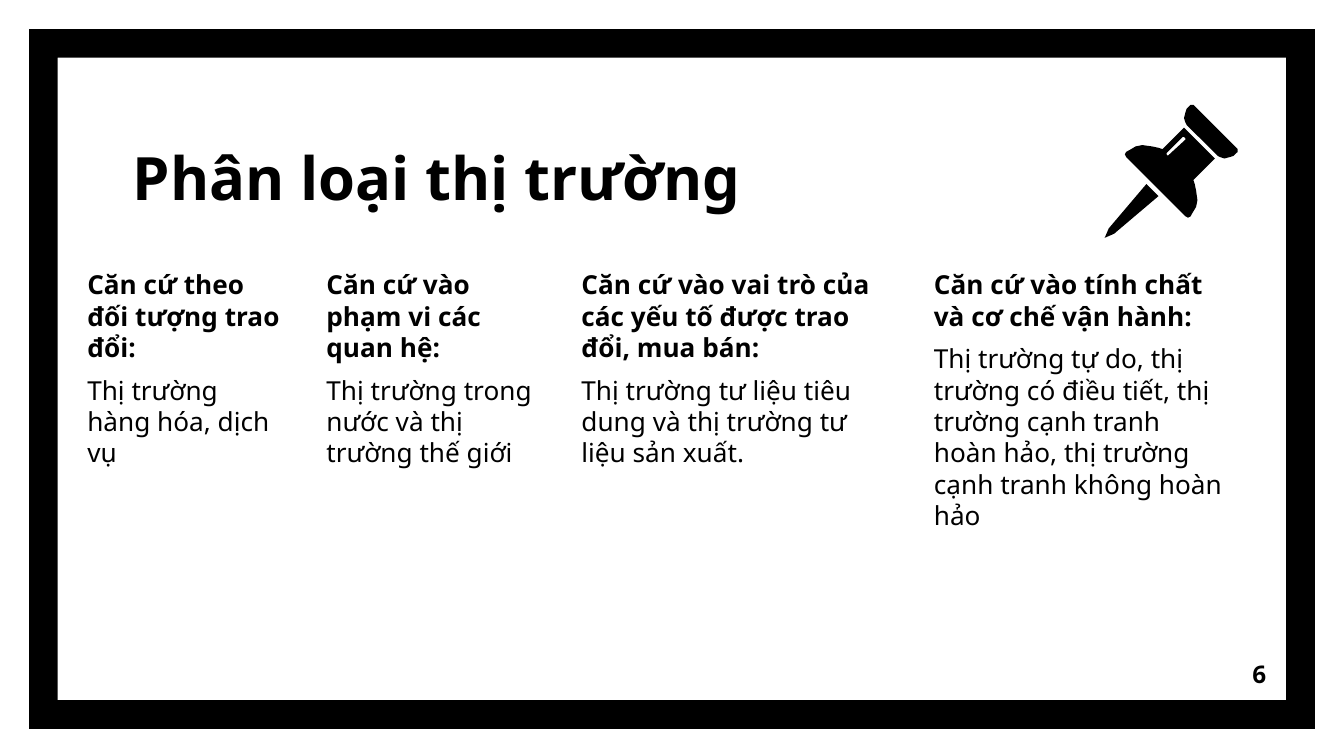
from pptx import Presentation
from pptx.dml.color import RGBColor
from pptx.enum.shapes import MSO_SHAPE
from pptx.enum.text import MSO_ANCHOR, MSO_AUTO_SIZE, PP_ALIGN
from pptx.util import Cm, Pt

BLACK = RGBColor(0x00, 0x00, 0x00)
WHITE = RGBColor(0xFF, 0xFF, 0xFF)
FRAME = MSO_SHAPE.FRAME
TOP, MIDDLE, BOTTOM = MSO_ANCHOR.TOP, MSO_ANCHOR.MIDDLE, MSO_ANCHOR.BOTTOM
LEFT, RIGHT = PP_ALIGN.LEFT, PP_ALIGN.RIGHT
NO_AUTOFIT = MSO_AUTO_SIZE.NONE
TITLE_ONLY = 5

COLUMN_TOP, COLUMN_HEIGHT = 4.83, 5.66
COLUMNS = [
    (1.4, 4.17, "Căn cứ theo đối tượng trao đổi:",
     "Thị trường hàng hóa, dịch vụ"),
    (5.92, 4.45, "Căn cứ vào phạm vi các quan hệ:",
     "Thị trường trong nước và thị trường thế giới"),
    (10.74, 5.99, "Căn cứ vào vai trò của các yếu tố được trao đổi, mua bán:",
     "Thị trường tư liệu tiêu dung và thị trường tư liệu sản xuất."),
    (17.4, 5.99, "Căn cứ vào tính chất và cơ chế vận hành:",
     "Thị trường tự do, thị trường có điều tiết, thị trường cạnh tranh "
     "hoàn hảo, thị trường cạnh tranh không hoàn hảo"),
]

PIN_UNIT = Cm(0.0254)
PIN_AXIS = 999
NEEDLE_HALF = [(853, 137), (825, 170), (822, 177)]
CAP_HALF = [(883, 93), (882, 91), (881, 88), (882, 84), (883, 81),
            (885, 79), (886, 78), (888, 78), (889, 79)]
BODY_HALF = [(881, 95), (865, 111), (862, 110), (857, 109), (850, 108),
             (845, 109), (840, 112), (838, 113), (837, 115), (838, 117)]
BODY_SLOT = [(881, 102), (882, 103), (882, 104), (870, 115), (869, 116),
             (868, 115), (868, 114), (880, 102)]


def mirrored(half):
    return half + [(PIN_AXIS - y, PIN_AXIS - x) for x, y in reversed(half)]


class SlideBuilder:
    font_name = "Noto Sans"
    inset = Cm(0.25)

    def __init__(self, slide):
        self.slide = slide
        slide.background.fill.solid()
        slide.background.fill.fore_color.rgb = WHITE

    def paint(self, shape):
        shape.shadow.inherit = False
        shape.fill.solid()
        shape.fill.fore_color.rgb = BLACK
        shape.line.fill.background()

    def frame(self, left, top, width, height, thickness):
        shape = self.slide.shapes.add_shape(
            FRAME, Cm(left), Cm(top), Cm(width), Cm(height))
        shape.adjustments[0] = thickness
        self.paint(shape)

    def outline(self, points, *holes):
        builder = self.slide.shapes.build_freeform(*points[0], scale=PIN_UNIT)
        builder.add_line_segments(points[1:], close=True)
        for hole in holes:
            builder.move_to(*hole[0])
            builder.add_line_segments(hole[1:], close=True)
        self.paint(builder.convert_to_shape())

    def fill_text(self, shape, lines, size, anchor, alignment):
        text_frame = shape.text_frame
        text_frame.word_wrap = True
        text_frame.auto_size = NO_AUTOFIT
        text_frame.vertical_anchor = anchor
        text_frame.margin_left = text_frame.margin_right = self.inset
        text_frame.margin_top = text_frame.margin_bottom = self.inset
        for index, (text, bold) in enumerate(lines):
            paragraph = text_frame.add_paragraph() if index else text_frame.paragraphs[0]
            paragraph.alignment = alignment
            paragraph.space_before = Pt(6 if index else 0)
            run = paragraph.add_run()
            run.text = text
            run.font.name = self.font_name
            run.font.size = Pt(size)
            run.font.bold = bold
            run.font.color.rgb = BLACK

    def title(self, text, left, top, width, height):
        shape = self.slide.shapes.title
        shape.left, shape.top = Cm(left), Cm(top)
        shape.width, shape.height = Cm(width), Cm(height)
        self.fill_text(shape, [(text, True)], 32, BOTTOM, LEFT)

    def text(self, lines, left, top, width, height, size=14, anchor=TOP, alignment=LEFT):
        shape = self.slide.shapes.add_textbox(
            Cm(left), Cm(top), Cm(width), Cm(height))
        self.fill_text(shape, lines, size, anchor, alignment)


def main():
    presentation = Presentation()
    presentation.slide_width = Cm(25.4)
    presentation.slide_height = Cm(14.29)
    layout = presentation.slide_layouts[TITLE_ONLY]
    builder = SlideBuilder(presentation.slides.add_slide(layout))

    builder.frame(0.55, 0.55, 24.3, 13.23, 0.041)
    builder.title("Phân loại thị trường", 2.26, 2.24, 14.15, 2.03)
    for left, width, heading, body in COLUMNS:
        builder.text([(heading, True), (body, False)],
                     left, COLUMN_TOP, width, COLUMN_HEIGHT)
    builder.outline(mirrored(NEEDLE_HALF))
    builder.outline(mirrored(CAP_HALF))
    builder.outline(mirrored(BODY_HALF), BODY_SLOT)
    builder.text([("6", True)], 22.66, 12.19, 1.52, 1.09,
                 size=13, anchor=MIDDLE, alignment=RIGHT)

    presentation.save("out.pptx")


if __name__ == "__main__":
    main()
